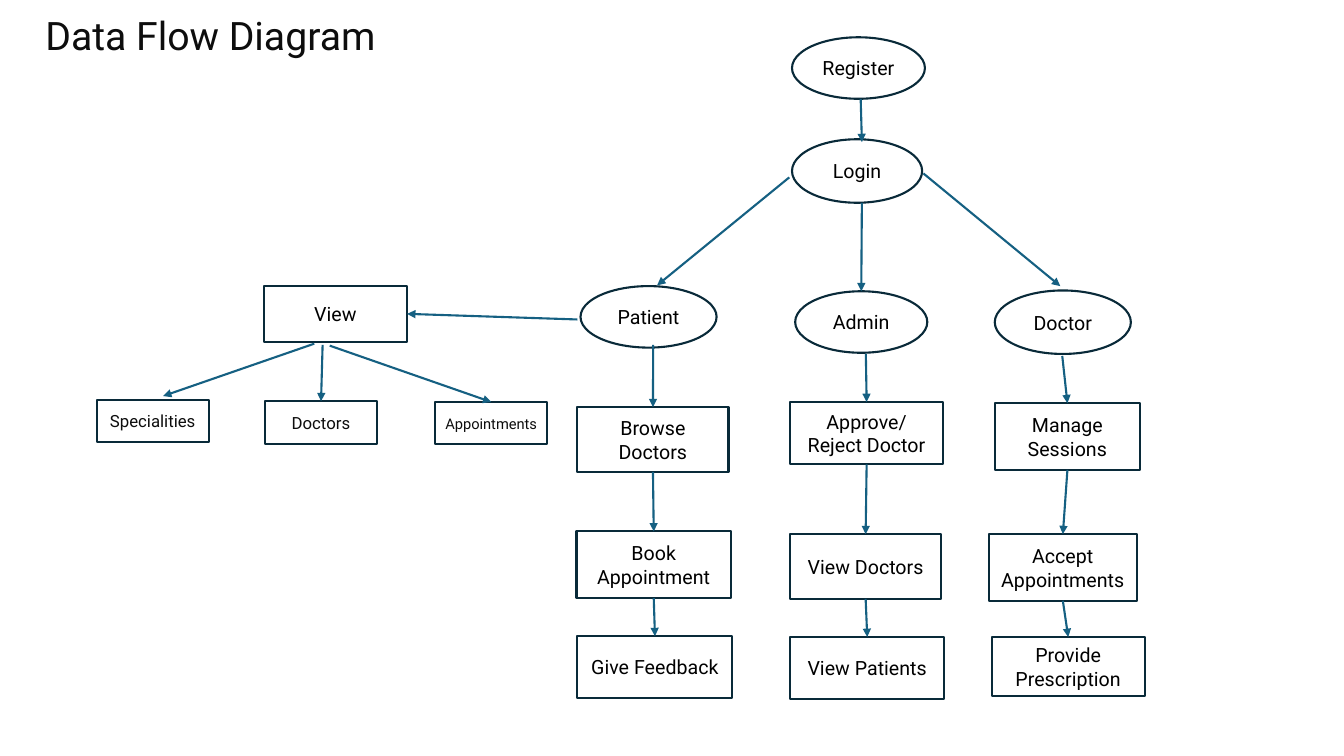
from dataclasses import dataclass
from itertools import pairwise

from lxml import etree
from pptx import Presentation
from pptx import util as u
from pptx.dml.color import RGBColor
from pptx.enum import shapes, text
from pptx.oxml import ns


@dataclass(frozen=True)
class Theme:
    font: str = "Roboto"
    ink: str = "0D0D0D"
    label: str = "000000"
    fill: str = "FFFFFF"
    outline: str = "092A39"
    arrow: str = "156082"
    title: float = 28
    body: float = 14
    small: float = 12
    tiny: float = 10.5
    line: float = 1.5


THEME = Theme()
TOP, BOTTOM, RIGHT = 0, 2, 3

# All positions and sizes below are in centimetres: left, top, width, height
OVALS = {
    "Register": (19.96, 0.94, 3.35, 1.55),
    "Login": (19.96, 3.51, 3.28, 1.6),
    "Admin": (20.04, 7.34, 3.33, 1.55),
    "Patient": (14.63, 7.21, 3.43, 1.55),
    "Doctor": (25.07, 7.32, 3.43, 1.6),
}
STEPS = {
    "View": (6.65, 7.21, 3.61, 1.4),
    "Browse Doctors": (14.55, 10.26, 3.81, 1.63),
    "Book Appointment": (14.53, 13.39, 3.89, 1.68),
    "Give Feedback": (14.55, 16.03, 3.91, 1.55),
    "Approve/Reject Doctor": (19.91, 10.13, 3.86, 1.57),
    "View Doctors": (19.91, 13.46, 3.81, 1.63),
    "View Patients": (19.91, 16.05, 3.89, 1.57),
    "Manage Sessions": (25.07, 10.16, 3.66, 1.68),
    "Accept Appointments": (24.92, 13.46, 3.73, 1.68),
    "Provide Prescription": (24.99, 16.05, 3.86, 1.5),
}
VIEW_SIZE = (2.82, 1.07)
VIEWS = {
    "Specialities": (2.44, 10.08, THEME.small),
    "Doctors": (6.68, 10.11, THEME.small),
    "Appointments": (10.97, 10.13, THEME.tiny),
}

# Each role's arrow start, followed by the steps it runs through
CHAINS = [
    ((16.46, 8.69), "Browse Doctors", "Book Appointment", "Give Feedback"),
    ((21.82, 8.92), "Approve/Reject Doctor", "View Doctors", "View Patients"),
    ((26.77, 8.97), "Manage Sessions", "Accept Appointments",
     "Provide Prescription"),
]
BRANCHES = [
    ((21.69, 2.49), (21.72, 3.58)),  # Register to Login
    ((19.89, 4.47), (16.56, 7.19)),  # Login to Patient
    ((21.72, 5.11), "Admin"),
    ((23.27, 4.37), (26.72, 7.21)),  # Login to Doctor
    ((7.92, 8.66), (4.11, 9.98)),  # View to Specialities
    ((8.13, 8.69), "Doctors"),
    ((8.31, 8.71), "Appointments"),
]


def rgb(code):
    return RGBColor.from_string(code)


def write(sp, words, *, size, color, align, anchor):
    tf = sp.text_frame
    tf.word_wrap = True
    tf.auto_size = text.MSO_AUTO_SIZE.NONE
    tf.vertical_anchor = anchor
    p = tf.paragraphs[0]
    p.alignment = align
    r = p.add_run()
    r.text = words
    r.font.name = THEME.font
    r.font.size = u.Pt(size)
    r.font.color.rgb = rgb(color)
    return p


def add_title(s, words):
    sp = s.shapes.title
    sp.left, sp.top = u.Cm(0.89), u.Cm(0.3)
    sp.width, sp.height = u.Cm(31.93), u.Cm(18.42)
    p = write(sp, words, size=THEME.title, color=THEME.ink,
              align=text.PP_ALIGN.LEFT, anchor=text.MSO_ANCHOR.TOP)
    p.line_spacing = 0.9
    p.space_before = u.Pt(10)


def add_node(s, kind, words, box, size=THEME.body, color=THEME.label):
    sp = s.shapes.add_shape(kind, *map(u.Cm, box))
    sp.shadow.inherit = False
    sp.fill.solid()
    sp.fill.fore_color.rgb = rgb(THEME.fill)
    sp.line.color.rgb = rgb(THEME.outline)
    sp.line.width = u.Pt(THEME.line)
    write(sp, words, size=size, color=color,
          align=text.PP_ALIGN.CENTER, anchor=text.MSO_ANCHOR.MIDDLE)
    return sp


def add_arrow(s, nodes, start, end, end_side=TOP):
    """Draw an arrow; each end is a point in cm or the name of a node to join."""
    start_xy = (0, 0) if isinstance(start, str) else start
    end_xy = (0, 0) if isinstance(end, str) else end
    line = s.shapes.add_connector(shapes.MSO_CONNECTOR.STRAIGHT,
                                  *map(u.Cm, (*start_xy, *end_xy)))
    if isinstance(start, str):
        line.begin_connect(nodes[start], BOTTOM)
    if isinstance(end, str):
        line.end_connect(nodes[end], end_side)
    line.line.color.rgb = rgb(THEME.arrow)
    line.line.width = u.Pt(THEME.line)
    sp_pr = line._element.spPr
    etree.SubElement(sp_pr.find(ns.qn("a:ln")), ns.qn("a:tailEnd"),
                     type="triangle")
    etree.SubElement(sp_pr, ns.qn("a:effectLst"))


def main():
    prs = Presentation()
    prs.slide_width, prs.slide_height = u.Cm(33.87), u.Cm(19.05)
    s = prs.slides.add_slide(prs.slide_layouts.get_by_name("Title Only"))
    add_title(s, "Data Flow Diagram")

    oval, rect = shapes.MSO_SHAPE.OVAL, shapes.MSO_SHAPE.RECTANGLE
    nodes = {}
    for kind, boxes in ((oval, OVALS), (rect, STEPS)):
        for name, box in boxes.items():
            nodes[name] = add_node(s, kind, name, box)
    for name, (x, y, size) in VIEWS.items():
        nodes[name] = add_node(s, rect, name, (x, y, *VIEW_SIZE), size, THEME.ink)

    for chain in CHAINS:
        for start, end in pairwise(chain):
            add_arrow(s, nodes, start, end)
    for start, end in BRANCHES:
        add_arrow(s, nodes, start, end)
    add_arrow(s, nodes, (14.55, 8.05), "View", RIGHT)

    prs.save("out.pptx")


if __name__ == "__main__":
    main()
